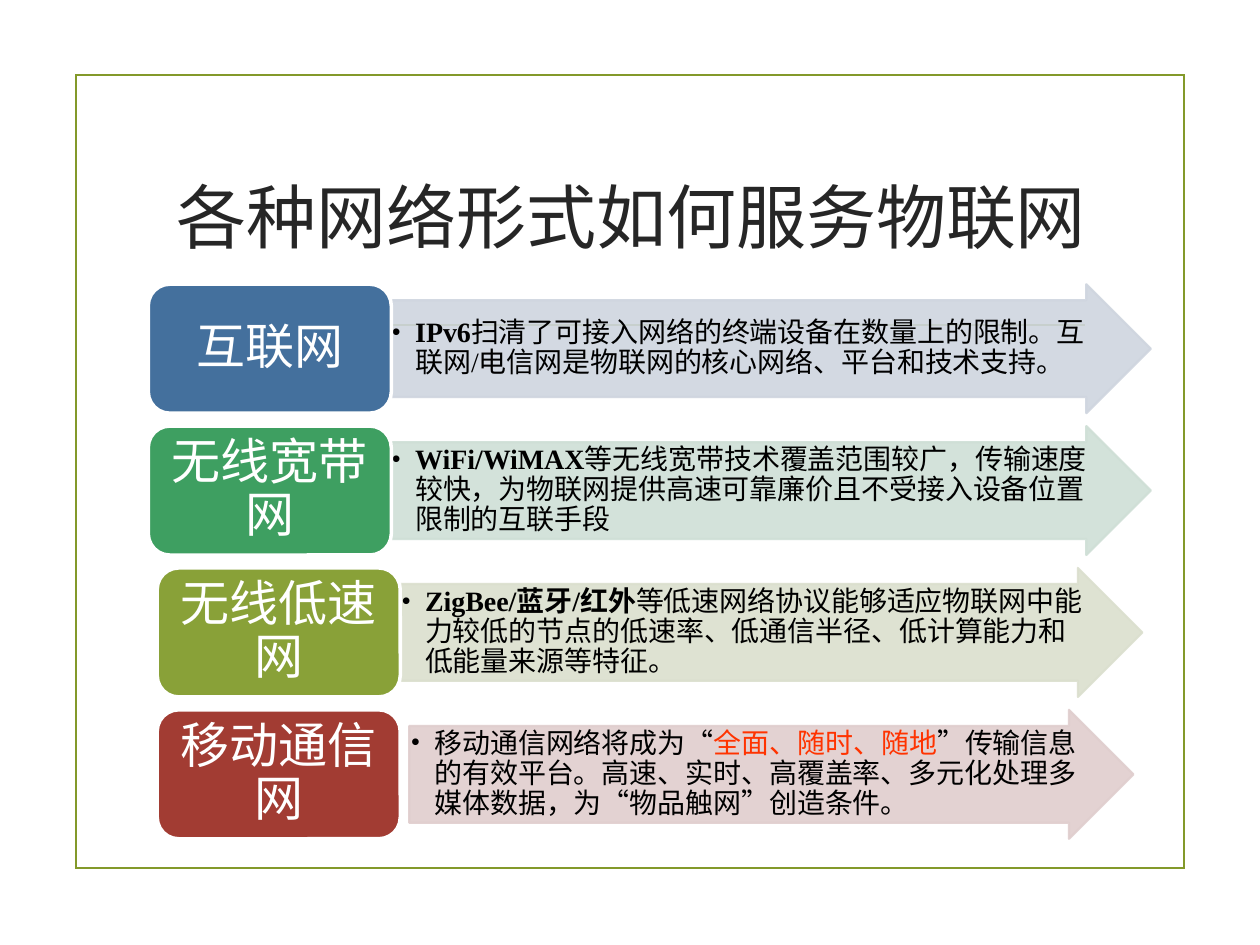
import pptx
import pptx.util
import pptx.dml.color
import pptx.enum.shapes
import pptx.enum.text
import pptx.oxml.ns
import lxml.etree

Cm = pptx.util.Cm
Pt = pptx.util.Pt
RGBColor = pptx.dml.color.RGBColor
SHAPES = pptx.enum.shapes.MSO_SHAPE
ALIGN = pptx.enum.text.PP_ALIGN
qn = pptx.oxml.ns.qn

FONT = "Times New Roman"
OLIVE = RGBColor(0x83, 0x99, 0x2A)
CHARCOAL = RGBColor(0x26, 0x26, 0x26)
BLACK = RGBColor(0, 0, 0)
WHITE = RGBColor(0xFF, 0xFF, 0xFF)
RED = RGBColor(0xFF, 0x33, 0x00)
BLUE, PALE_BLUE = RGBColor(0x44, 0x70, 0x9D), RGBColor(0xCF, 0xD5, 0xDF)
GREEN, PALE_GREEN = RGBColor(0x3E, 0x9F, 0x61), RGBColor(0xCF, 0xDF, 0xD6)
MOSS, PALE_MOSS = RGBColor(0x89, 0xA1, 0x38), RGBColor(0xDB, 0xDF, 0xCE)
BRICK, PALE_BRICK = RGBColor(0xA2, 0x3C, 0x33), RGBColor(0xE0, 0xCE, 0xCE)

ROW_TOP, ROW_PITCH, ROW_HEIGHT = 5.73, 2.86, 2.6
LABEL_WIDTH = 4.9

# label, label left, label colour, arrow left, arrow width, arrow colour,
# description runs (text, colour, bold)
NETWORKS = [
    ("互联网", 2.99, BLUE, 7.86, 15.34, PALE_BLUE, [
        ("IPv6", BLACK, True),
        ("扫清了可接入网络的终端设备在数量上的限制。互联网/电信网是物联网的核心网络、平台和技术支持。", BLACK, False)]),
    ("无线宽带网", 2.99, GREEN, 7.86, 15.34, PALE_GREEN, [
        ("WiFi/WiMAX", BLACK, True),
        ("等无线宽带技术覆盖范围较广，传输速度较快，为物联网提供高速可靠廉价且不受接入设备位置限制的互联手段", BLACK, False)]),
    ("无线低速网", 3.17, MOSS, 8.06, 14.97, PALE_MOSS, [
        ("ZigBee/蓝牙/红外", BLACK, True),
        ("等低速网络协议能够适应物联网中能力较低的节点的低速率、低通信半径、低计算能力和低能量来源等特征。", BLACK, False)]),
    ("移动通信网", 3.17, BRICK, 8.25, 14.6, PALE_BRICK, [
        ("移动通信网络将成为“", BLACK, False),
        ("全面、随时、随地", RED, False),
        ("”传输信息的有效平台。高速、实时、高覆盖率、多元化处理多媒体数据，为“物品触网”创造条件。", BLACK, False)]),
]


def add_block(preset, left, top, width, fill, line, line_width, margins):
    """Add a filled shape one row high; margins are horizontal, vertical in cm."""
    block = slide.shapes.add_shape(preset, Cm(left), Cm(top), Cm(width), Cm(ROW_HEIGHT))
    block.shadow.inherit = False
    block.fill.solid()
    block.fill.fore_color.rgb = fill
    block.line.color.rgb = line
    block.line.width = Pt(line_width)
    frame = block.text_frame
    frame.word_wrap = True
    frame.vertical_anchor = pptx.enum.text.MSO_ANCHOR.MIDDLE
    frame.margin_left = frame.margin_right = Cm(margins[0])
    frame.margin_top = frame.margin_bottom = Cm(margins[1])
    frame.paragraphs[0].line_spacing = 0.9
    return block


def style_run(run, size, color, bold=False):
    run.font.name = FONT
    run.font.size = Pt(size)
    run.font.color.rgb = color
    run.font.bold = bold


deck = pptx.Presentation()
deck.slide_width = Cm(25.4)
deck.slide_height = Cm(19.05)
slide = deck.slides.add_slide(deck.slide_layouts[6])

border = slide.shapes.add_shape(SHAPES.RECTANGLE, Cm(1.54), Cm(1.51), Cm(22.33), Cm(15.99))
border.shadow.inherit = False
border.fill.background()
border.line.color.rgb = OLIVE
border.line.width = Pt(1.25)
lxml.etree.SubElement(border.line._get_or_add_ln(), qn("a:miter"), lim="800000")

rule = slide.shapes.add_connector(
    pptx.enum.shapes.MSO_CONNECTOR.STRAIGHT, Cm(3.56), Cm(6.55), Cm(21.87), Cm(6.55))
rule.line.color.rgb = OLIVE
rule.line.width = Pt(1.25)
lxml.etree.SubElement(rule._element.spPr, qn("a:effectLst"))

title = slide.shapes.add_textbox(Cm(3.28), Cm(2.52), Cm(18.9), Cm(3.63)).text_frame
title.word_wrap = True
title.vertical_anchor = pptx.enum.text.MSO_ANCHOR.MIDDLE
title.text = "各种网络形式如何服务物联网"
title.paragraphs[0].alignment = ALIGN.CENTER
style_run(title.paragraphs[0].runs[0], 40, CHARCOAL)

for row, (name, label_left, color, arrow_left, arrow_width, pale, description) in enumerate(NETWORKS):
    top = ROW_TOP + row * ROW_PITCH

    arrow = add_block(SHAPES.RIGHT_ARROW, arrow_left, top, arrow_width, pale, pale, 1.25,
                      (0.03, 0.03))
    arrow.adjustments[0] = 0.75
    arrow.adjustments[1] = 0.5
    for tint in arrow._element.spPr.iter(qn("a:srgbClr")):
        lxml.etree.SubElement(tint, qn("a:alpha"), val="90000")
    paragraph = arrow.text_frame.paragraphs[0]
    paragraph.alignment = ALIGN.LEFT
    properties = paragraph._p.get_or_add_pPr()
    properties.set("marL", str(Cm(0.48)))
    properties.set("indent", str(-Cm(0.48)))
    lxml.etree.SubElement(properties, qn("a:buFont"), typeface=FONT)
    lxml.etree.SubElement(properties, qn("a:buChar"), char="•")
    for text, text_color, bold in description:
        run = paragraph.add_run()
        run.text = text
        style_run(run, 16, text_color, bold)

    label = add_block(SHAPES.ROUNDED_RECTANGLE, label_left, top, LABEL_WIDTH, color, WHITE, 2,
                      (0.3, 0.15))
    paragraph = label.text_frame.paragraphs[0]
    paragraph.text = name
    paragraph.alignment = ALIGN.CENTER
    style_run(paragraph.runs[0], 28, WHITE)

deck.save("out.pptx")
